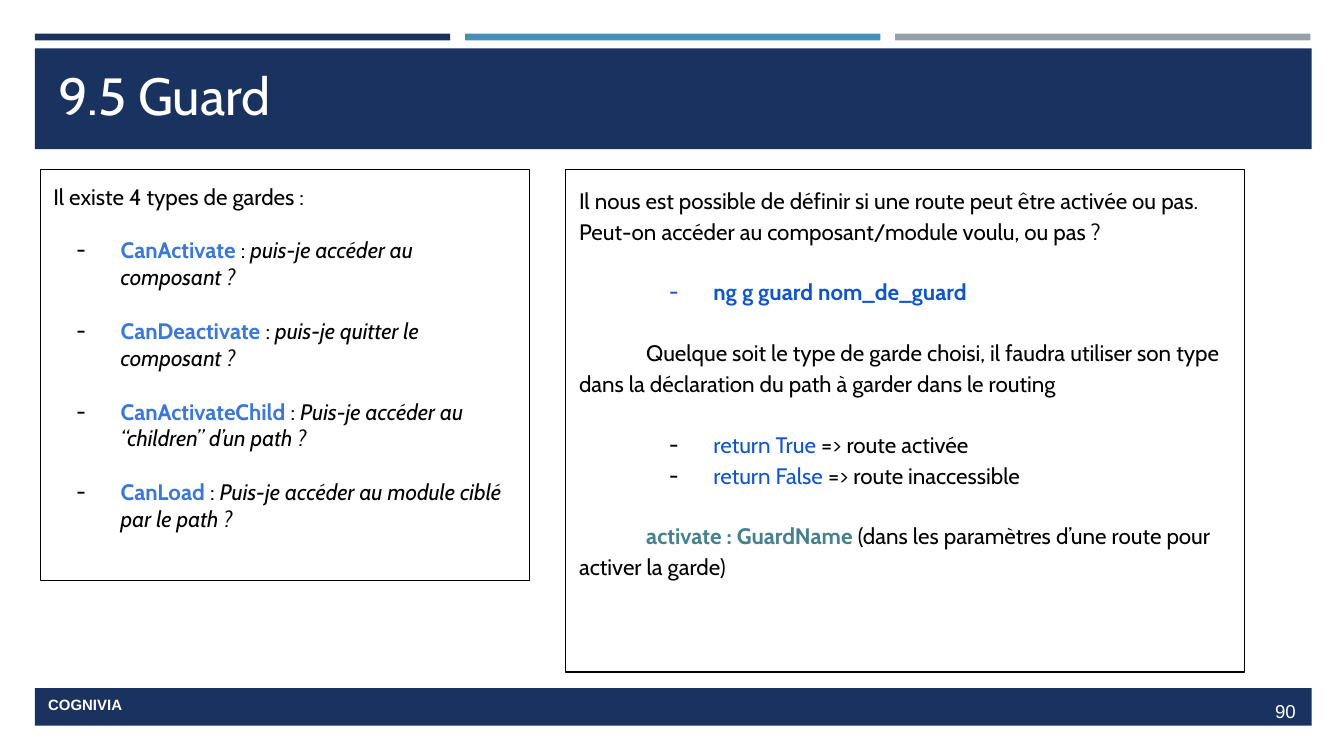
from dataclasses import dataclass

from lxml.etree import SubElement
from pptx import Presentation
from pptx.dml.color import RGBColor
from pptx.enum.shapes import MSO_SHAPE as Shape
from pptx.enum.text import MSO_ANCHOR as Anchor, PP_ALIGN as Align
from pptx.oxml.ns import qn
from pptx.util import Inches, Pt


@dataclass(frozen=True)
class Theme:
    navy: str = "1A3260"
    sky: str = "4590B8"
    grey: str = "969FA7"
    white: str = "FFFFFF"
    black: str = "000000"
    guard: str = "3C78D8"
    code: str = "1155CC"
    teal: str = "45818E"
    body_font: str = "Cabin"
    footer_font: str = "Arial"
    title_size: float = 28
    body_size: float = 12
    page_size: float = 10
    footer_size: float = 8


@dataclass(frozen=True)
class Box:
    left: float
    top: float
    width: float
    height: float

    def lengths(self) -> list:
        return [Inches(v) for v in (self.left, self.top, self.width, self.height)]


@dataclass(frozen=True)
class Run:
    text: str
    color: str = Theme.black
    bold: bool = False
    italic: bool = False


@dataclass(frozen=True)
class Para:
    runs: tuple
    margin: float = 0
    indent: float = 0
    before: float = 0
    after: float = 0
    bullet_color: str = ""


THEME = Theme()
HANG = -0.33
INSET = 0.1
GUARD_GAP = 14.4
SECTION_GAP = 16

GUARDS = (
    ("CanActivate", "puis-je accéder au composant ?"),
    ("CanDeactivate", "puis-je quitter le composant ?"),
    ("CanActivateChild", "Puis-je accéder au “children” d’un path ?"),
    ("CanLoad", "Puis-je accéder au module ciblé par le path ?"),
)


def rgb(color: str) -> RGBColor:
    return RGBColor.from_string(color)


def add_rect(s, box: Box, fill: str = "", line: str = ""):
    sp = s.shapes.add_shape(Shape.RECTANGLE, *box.lengths())
    sp.shadow.inherit = False
    if fill:
        sp.fill.solid()
        sp.fill.fore_color.rgb = rgb(fill)
    else:
        sp.fill.background()
    if line:
        sp.line.color.rgb = rgb(line)
        sp.line.width = Pt(0.75)
    else:
        sp.line.fill.background()
    return sp


def format_para(p, para: Para) -> None:
    pPr = p._p.get_or_add_pPr()
    pPr.set("marL", str(Inches(para.margin)))
    pPr.set("indent", str(Inches(para.indent)))
    if para.bullet_color:
        color = SubElement(pPr, qn("a:buClr"))
        SubElement(color, qn("a:srgbClr"), val=para.bullet_color)
        SubElement(pPr, qn("a:buFont"), typeface=THEME.body_font)
        SubElement(pPr, qn("a:buChar"), char="-")
    p.space_before = Pt(para.before)
    p.space_after = Pt(para.after)


def write(sp, paras: list, *, size: float = THEME.body_size, font: str = THEME.body_font,
          align=Align.LEFT, spacing: float = 1.0, top_inset: float = INSET) -> None:
    tf = sp.text_frame
    tf.word_wrap = True
    tf.vertical_anchor = Anchor.TOP
    tf.margin_left = tf.margin_right = tf.margin_bottom = Inches(INSET)
    tf.margin_top = Inches(top_inset)
    for i, para in enumerate(paras):
        p = tf.add_paragraph() if i else tf.paragraphs[0]
        format_para(p, para)
        p.alignment = align
        p.line_spacing = spacing
        for run in para.runs:
            r = p.add_run()
            r.text = run.text
            r.font.name = font
            r.font.size = Pt(size)
            r.font.bold = run.bold
            r.font.italic = run.italic
            r.font.color.rgb = rgb(run.color)


def add_label(s, box: Box, text: str, *, bold: bool = False, **style) -> None:
    sp = s.shapes.add_textbox(*box.lengths())
    write(sp, [Para((Run(text, THEME.white, bold),))], **style)


def bullet(*runs: Run, margin: float, before: float = 0,
           color: str = THEME.black) -> Para:
    return Para(runs, margin, HANG, before, bullet_color=color)


def guard_paras() -> list:
    intro = Para((Run("Il existe 4 types de gardes :"),))
    return [intro] + [
        bullet(Run(name, THEME.guard, bold=True), Run(" : "),
               Run(question, italic=True), margin=0.5, before=GUARD_GAP)
        for name, question in GUARDS
    ]


def usage_paras() -> list:
    return [
        Para((Run("Il nous est possible de définir si une route peut être activée ou pas. "
                  "Peut-on accéder au composant/module voulu, ou pas ?"),)),
        bullet(Run("ng g guard nom_de_guard", THEME.code, bold=True),
               margin=1, before=SECTION_GAP, color=THEME.code),
        Para((Run("Quelque soit le type de garde choisi, il faudra utiliser son type "
                  "dans la déclaration du path à garder dans le routing"),),
             indent=0.5, before=SECTION_GAP),
        bullet(Run("return True", THEME.code), Run(" => route activée"),
               margin=1, before=SECTION_GAP),
        bullet(Run("return False", THEME.code), Run(" => route inaccessible"), margin=1),
        Para((Run("activate : GuardName", THEME.teal, bold=True),
              Run(" (dans les paramètres d’une route pour activer la garde)")),
             indent=0.5, before=SECTION_GAP, after=SECTION_GAP),
    ]


def main() -> None:
    prs = Presentation()
    prs.slide_width = Inches(10)
    prs.slide_height = prs.slide_width * 9 // 16
    s = prs.slides.add_slide(prs.slide_layouts[6])

    add_rect(s, Box(0.26, 0.36, 9.5, 0.75), THEME.navy)
    add_rect(s, Box(0.26, 5.12, 9.5, 0.28), THEME.navy)
    for i, color in enumerate((THEME.navy, THEME.sky, THEME.grey)):
        add_rect(s, Box(0.26 + i * 3.2, 0.25, 3.09, 0.05), color)

    add_label(s, Box(0.26, 5.09, 0.77, 0.28), "COGNIVIA", bold=True,
              size=THEME.footer_size, font=THEME.footer_font, top_inset=0.14)
    add_label(s, Box(0.34, 0.37, 9.32, 0.63), "9.5 Guard", size=THEME.title_size)
    add_label(s, Box(9.14, 5.12, 0.6, 0.28), "90", size=THEME.page_size,
              font=THEME.footer_font, align=Align.RIGHT, top_inset=0.11)

    usage = add_rect(s, Box(4.21, 1.26, 5.05, 3.74), line=THEME.black)
    write(usage, usage_paras(), spacing=1.15)
    guards = add_rect(s, Box(0.3, 1.26, 3.64, 3.06), line=THEME.black)
    write(guards, guard_paras())

    prs.save("out.pptx")


if __name__ == "__main__":
    main()
